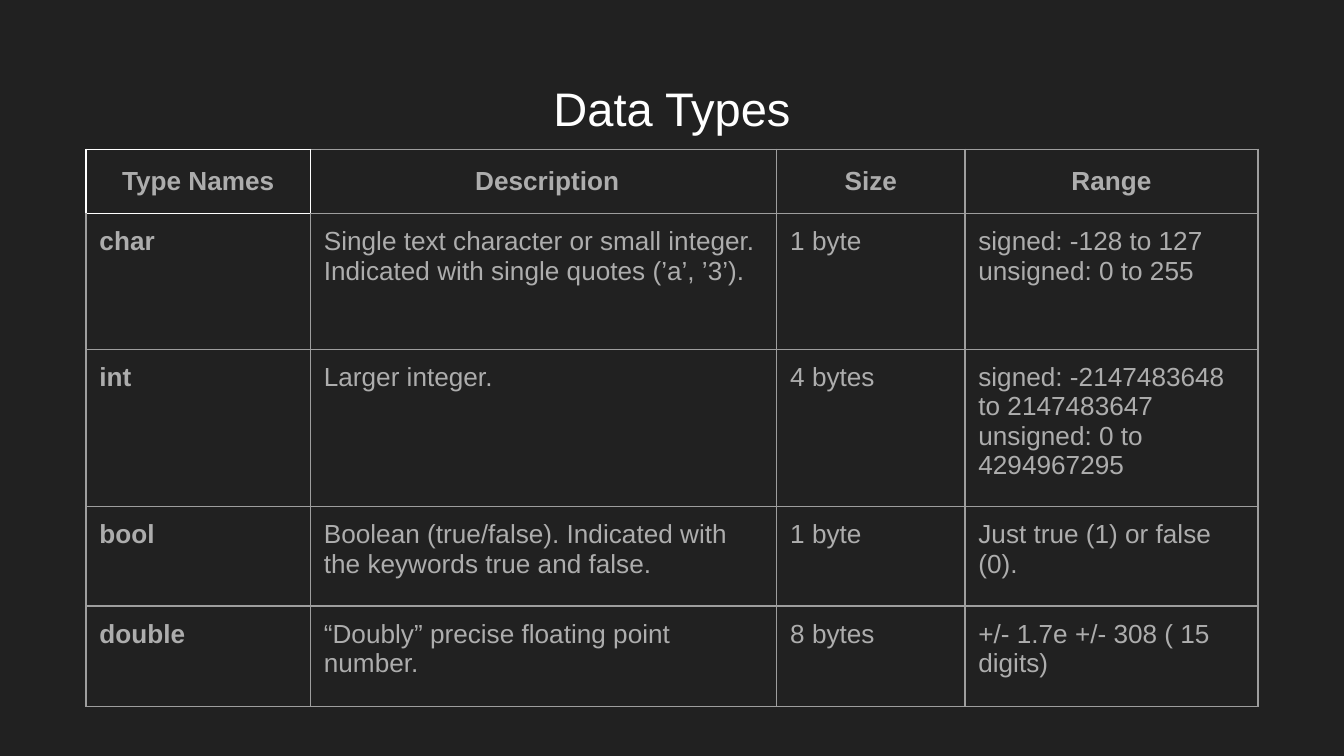
"""Build the Data Types slide: a centred title above a bordered table."""
from lxml.etree import SubElement
from pptx import Presentation
from pptx.dml.color import RGBColor
from pptx.enum.text import MSO_ANCHOR, PP_ALIGN
from pptx.oxml.ns import qn
from pptx.util import Inches, Pt

COLORS = {"bg": "212121", "title": "FFFFFF", "text": "ADADAD",
          "line": "9E9E9E", "corner": "FFFFFF"}
WIDTH = 10
HEIGHT = WIDTH * 9 / 16
COLS = [1.67, 3.47, 1.4, 2.18]
ROWS = [0.48, 1.01, 1.17, 0.74, 0.75]
DATA = [
    ["Type Names", " Description", "Size", "Range"],
    ["char", "Single text character or small integer. Indicated with single quotes (’a’, ’3’).",
     "1 byte", "signed: -128 to 127 unsigned: 0 to 255 "],
    ["int", "Larger integer.", "4 bytes ",
     "signed: -2147483648 to 2147483647 unsigned: 0 to 4294967295"],
    ["bool", "Boolean (true/false). Indicated with the keywords true and false.",
     "1 byte ", "Just true (1) or false (0). "],
    ["double", "“Doubly” precise floating point number.", "8 bytes",
     "+/- 1.7e +/- 308 ( 15 digits) "],
]
CORNER_EDGES = {(0, 0): "LRTB", (0, 1): "L", (1, 0): "T"}


def style(p, size, color, bold=False):
    for r in p.runs:
        r.font.name = "Arial"
        r.font.size = Pt(size)
        r.font.bold = bold
        r.font.color.rgb = RGBColor.from_string(COLORS[color])


def add_border(cell, side, color):
    ln = SubElement(cell._tc.get_or_add_tcPr(), qn(f"a:ln{side}"), w=str(Pt(0.75)))
    fill = SubElement(ln, qn("a:solidFill"))
    SubElement(fill, qn("a:srgbClr"), val=COLORS[color])


prs = Presentation()
prs.slide_width, prs.slide_height = Inches(WIDTH), Inches(HEIGHT)
s = prs.slides.add_slide(prs.slide_layouts[5])
s.background.fill.solid()
s.background.fill.fore_color.rgb = RGBColor.from_string(COLORS["bg"])

title = s.shapes.title
title.left, title.top = Inches(0.34), Inches(0.49)
title.width, title.height = Inches(9.32), Inches(0.62)
tf = title.text_frame
tf.text = "Data Types"
tf.vertical_anchor = MSO_ANCHOR.MIDDLE
tf.margin_left = tf.margin_right = tf.margin_top = tf.margin_bottom = Inches(0.1)
tf.paragraphs[0].alignment = PP_ALIGN.CENTER
style(tf.paragraphs[0], 25.2, "title")

table = s.shapes.add_table(len(ROWS), len(COLS), Inches((WIDTH - sum(COLS)) / 2), Inches(1.11),
                           Inches(sum(COLS)), Inches(sum(ROWS))).table
table.first_row = table.horz_banding = False
for column, width in zip(table.columns, COLS):
    column.width = Inches(width)
for row, height in zip(table.rows, ROWS):
    row.height = Inches(height)

for i, texts in enumerate(DATA):
    for j, text in enumerate(texts):
        cell = table.cell(i, j)
        cell.text = text
        cell.margin_left = cell.margin_right = Inches(0.1)
        cell.margin_top = cell.margin_bottom = Inches(0.1)
        cell.vertical_anchor = MSO_ANCHOR.MIDDLE if i == 0 else MSO_ANCHOR.TOP
        p = cell.text_frame.paragraphs[0]
        p.alignment = PP_ALIGN.CENTER if i == 0 else PP_ALIGN.LEFT
        style(p, 14, "text", bold=i == 0 or j == 0)
        for side in "LRTB":
            add_border(cell, side, "corner" if side in CORNER_EDGES.get((i, j), "") else "line")
        cell.fill.background()

prs.save("out.pptx")
